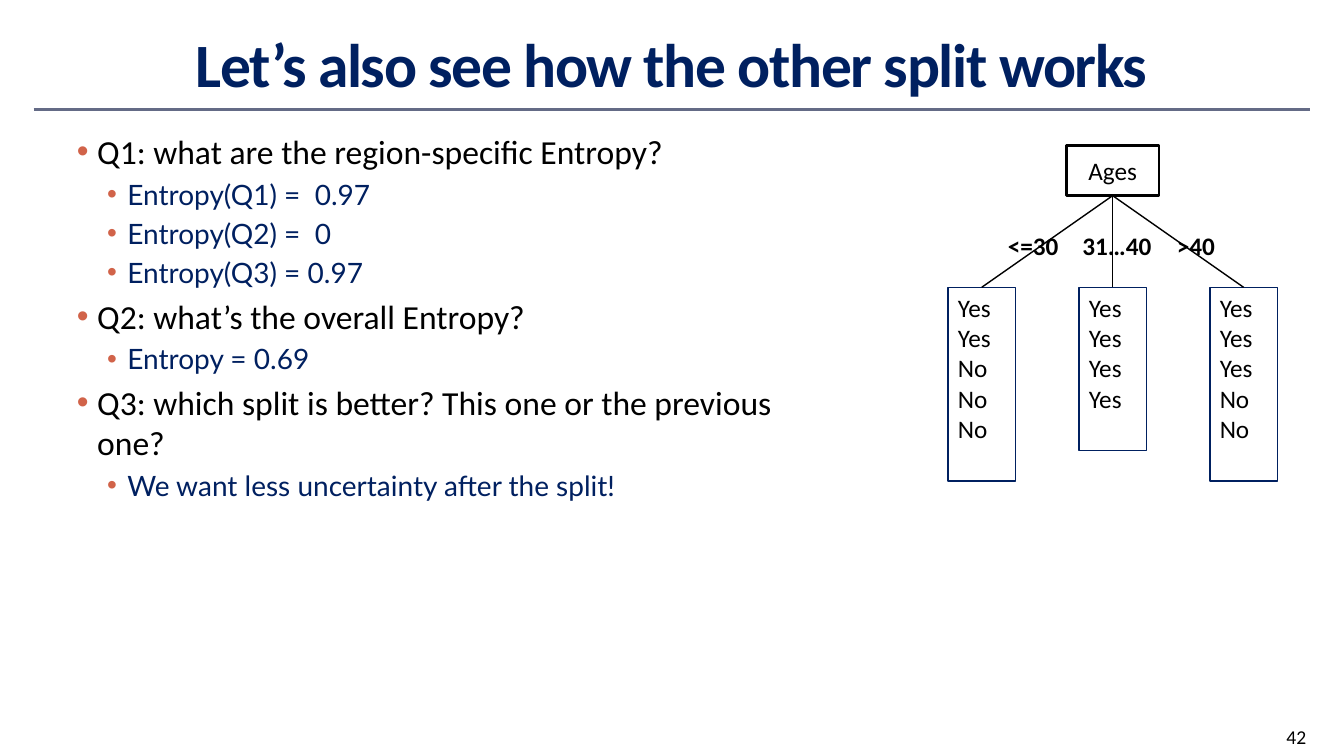
"""Build a slide on the entropy of a decision tree split by age."""
from dataclasses import dataclass

from lxml.etree import SubElement
from pptx import Presentation
from pptx.dml.color import RGBColor as RGB
from pptx.enum.shapes import MSO_CONNECTOR as CONN, MSO_SHAPE as SHAPE
from pptx.enum.text import MSO_ANCHOR as ANCHOR, MSO_AUTO_SIZE as AUTO, PP_ALIGN as ALIGN
from pptx.oxml.ns import qn
from pptx.util import Cm, Pt


@dataclass(frozen=True)
class Theme:
    navy: RGB = RGB(0x00, 0x20, 0x60)
    black: RGB = RGB(0, 0, 0)
    white: RGB = RGB(255, 255, 255)
    rule: RGB = RGB(0x64, 0x6B, 0x86)
    bullet: str = "D16349"
    font: str = "Calibri"
    answer_font: str = "Lato"
    title: Pt = Pt(44)
    question: Pt = Pt(24)
    answer: Pt = Pt(20)
    label: Pt = Pt(18)
    number: Pt = Pt(14)


T = Theme()


def add_run(p, text, size, color=T.black, font=T.font, bold=False):
    r = p.add_run()
    r.text = text
    r.font.size, r.font.name, r.font.bold = size, font, bold
    r.font.color.rgb = color
    return r


def add_line(start, end, color, width):
    line = s.shapes.add_connector(CONN.STRAIGHT, *start, *end)
    line.line.color.rgb = color
    line.line.width = width
    SubElement(line._element.spPr, qn("a:effectLst"))
    return line


prs = Presentation()
prs.slide_width, prs.slide_height = Cm(33.87), Cm(19.05)
s = prs.slides.add_slide(prs.slide_layouts[5])

add_line((Cm(0.85), Cm(2.76)), (Cm(33.02), Cm(2.76)), T.rule, Pt(1.5))

title = s.shapes.title
title.left, title.top, title.width, title.height = Cm(1.69), Cm(0.42), Cm(30.48), Cm(2.34)
tf = title.text_frame
tf.auto_size, tf.vertical_anchor = AUTO.NONE, ANCHOR.MIDDLE
p = tf.paragraphs[0]
p.alignment = ALIGN.CENTER
r = add_run(p, "Let’s also see how the other split works", T.title, T.navy, bold=True)
r.font._element.set("spc", "-100")

outline = [
    (0, "Q1: what are the region-specific Entropy?"),
    (1, "Entropy(Q1) =  0.97"),
    (1, "Entropy(Q2) =  0"),
    (1, "Entropy(Q3) = 0.97"),
    (0, "Q2: what’s the overall Entropy?"),
    (1, "Entropy = 0.69"),
    (0, "Q3: which split is better? This one or the previous one?"),
    (1, "We want less uncertainty after the split!"),
]
levels = [
    (Cm(0.51), Pt(4.8), (T.question, T.black, T.font)),
    (Cm(1.27), Pt(4), (T.answer, T.navy, T.answer_font)),
]
tf = s.shapes.add_textbox(Cm(1.69), Cm(3.18), Cm(18.52), Cm(14.81)).text_frame
tf.word_wrap = True
for i, (level, text) in enumerate(outline):
    margin, space, style = levels[level]
    p = tf.add_paragraph() if i else tf.paragraphs[0]
    p.level = level
    pPr = p._p.get_or_add_pPr()
    pPr.set("marL", str(margin))
    pPr.set("indent", str(-Cm(0.51)))
    SubElement(SubElement(pPr, qn("a:buClr")), qn("a:srgbClr"), val=T.bullet)
    SubElement(pPr, qn("a:buFont"), typeface="Arial")
    SubElement(pPr, qn("a:buChar"), char="•")
    p.space_before = space if i else Pt(0)
    add_run(p, text, *style)

tf = s.shapes.add_textbox(Cm(32.17), Cm(18.14), Cm(1.7), Cm(0.91)).text_frame
tf.word_wrap = True
add_run(tf.paragraphs[0], "42", T.number)

root = s.shapes.add_shape(SHAPE.RECTANGLE, Cm(26.87), Cm(3.66), Cm(2.34), Cm(1.27))
root.shadow.inherit = False
root.fill.solid()
root.fill.fore_color.rgb = T.white
root.line.color.rgb = T.black
root.line.width = Pt(2.08)
root.text_frame.vertical_anchor = ANCHOR.MIDDLE
p = root.text_frame.paragraphs[0]
p.alignment = ALIGN.CENTER
add_run(p, "Ages", T.label)

branches = [
    ("<=30", 25.15, 1.8, 4.88, ["Yes", "Yes", "No", "No", "No"]),
    ("31…40", 27.03, 2.26, 4.11, ["Yes", "Yes", "Yes", "Yes"]),
    (">40", 29.41, 1.47, 4.88, ["Yes", "Yes", "Yes", "No", "No"]),
]
for i, (label, label_left, label_width, height, votes) in enumerate(branches):
    leaf = s.shapes.add_shape(
        SHAPE.RECTANGLE, Cm(23.89 + 3.3 * i), Cm(7.24), Cm(1.7), Cm(height))
    leaf.shadow.inherit = False
    leaf.fill.background()
    leaf.line.color.rgb = T.navy
    leaf.line.width = Pt(1)
    tf = leaf.text_frame
    tf.vertical_anchor = ANCHOR.TOP
    for j, vote in enumerate(votes):
        p = tf.add_paragraph() if j else tf.paragraphs[0]
        p.alignment = ALIGN.LEFT
        add_run(p, vote, T.label)

    edge = add_line((0, 0), (0, 0), T.black, Pt(1))
    edge.begin_connect(root, 2)
    edge.end_connect(leaf, 0)

    tf = s.shapes.add_textbox(Cm(label_left), Cm(5.69), Cm(label_width), Cm(1.02)).text_frame
    tf.word_wrap = False
    add_run(tf.paragraphs[0], label, T.label, bold=True)

prs.save("out.pptx")
